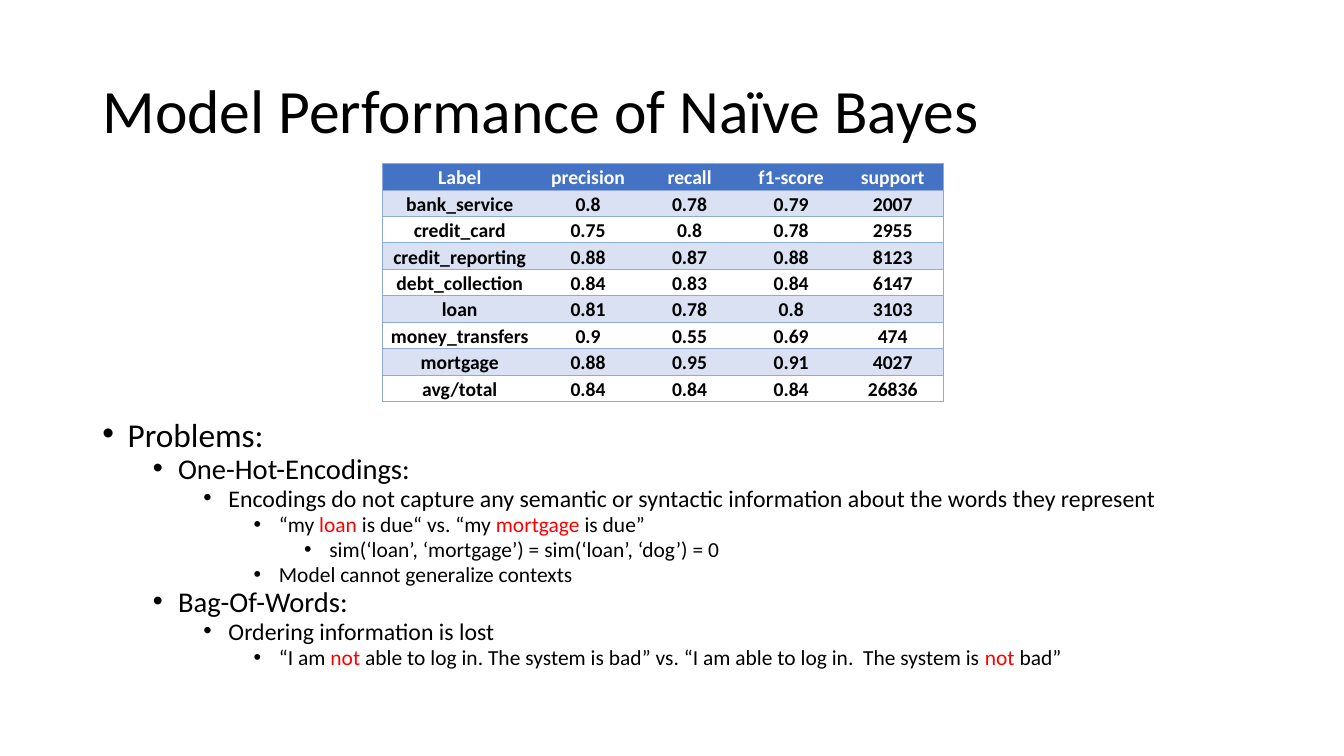
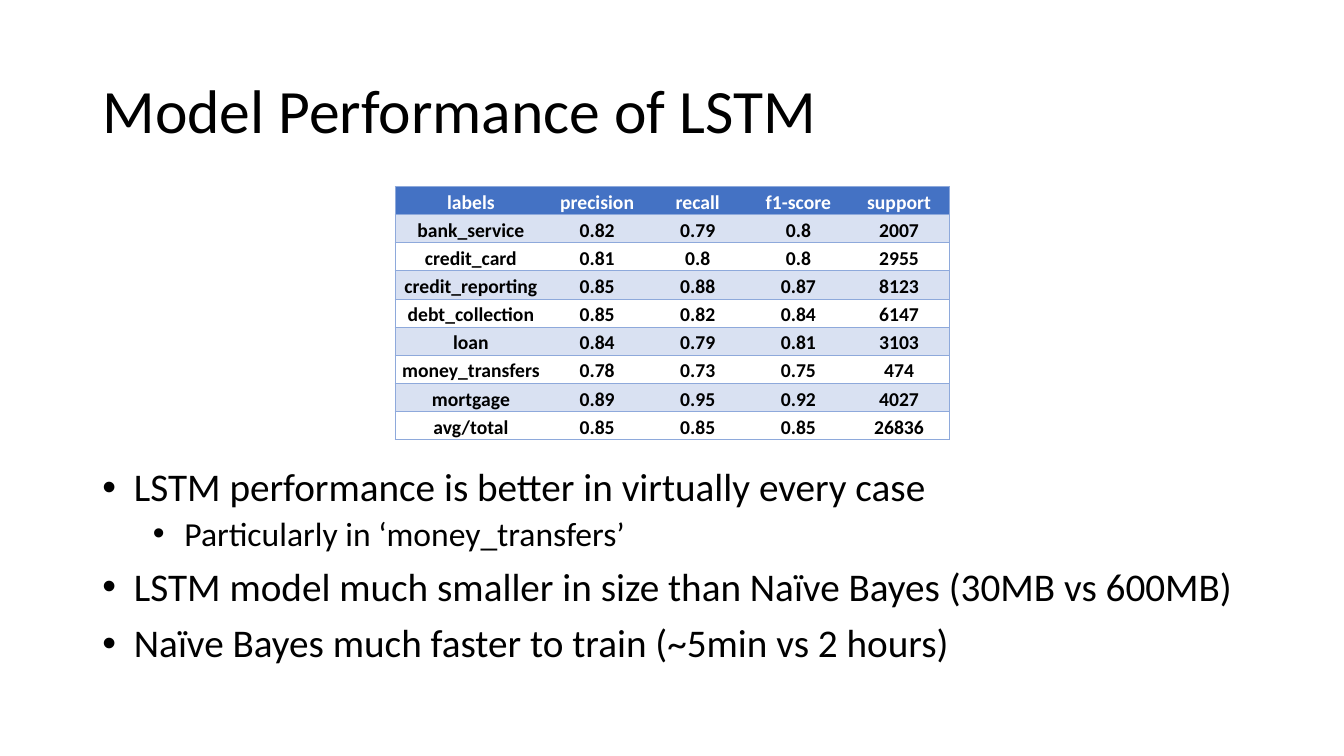
from lxml.etree import SubElement
from pptx import Presentation
from pptx.dml.color import RGBColor
from pptx.enum.text import MSO_ANCHOR, MSO_AUTO_SIZE, PP_ALIGN
from pptx.oxml.ns import qn
from pptx.util import Pt

FONT = "Calibri"
HUES = {"text": "000000", "mark": "FF0000", "head": "4472C4",
        "band": "D9E1F2", "rule": "8EA9DB", "white": "FFFFFF"}
LEFT, WIDE = 66, 828
LABELS = ["bank_service", "credit_card", "credit_reporting", "debt_collection",
          "loan", "money_transfers", "mortgage", "avg/total"]
COUNTS = ["2007", "2955", "8123", "6147", "3103", "474", "4027", "26836"]
BAYES = ["0.8 0.78 0.79", "0.75 0.8 0.78", "0.88 0.87 0.88", "0.84 0.83 0.84",
         "0.81 0.78 0.8", "0.9 0.55 0.69", "0.88 0.95 0.91", "0.84 0.84 0.84"]
LSTM = ["0.82 0.79 0.8", "0.81 0.8 0.8", "0.85 0.88 0.87", "0.85 0.82 0.84",
        "0.84 0.79 0.81", "0.78 0.73 0.75", "0.89 0.95 0.92", "0.85 0.85 0.85"]
FLAWS = [
    (0, "Problems:"),
    (1, "One-Hot-Encodings:"),
    (2, "Encodings do not capture any semantic or syntactic information "
        "about the words they represent"),
    (3, "“my *loan* is due“ vs. “my *mortgage* is due”"),
    (4, "sim(‘loan’, ‘mortgage’) = sim(‘loan’, ‘dog’) = 0"),
    (3, "Model cannot generalize contexts"),
    (1, "Bag-Of-Words:"),
    (2, "Ordering information is lost"),
    (3, "“I am *not* able to log in. The system is bad” vs. "
        "“I am able to log in.  The system is *not* bad”"),
]
GAINS = [
    (0, "LSTM performance is better in virtually every case"),
    (1, "Particularly in ‘money_transfers’"),
    (0, "LSTM model much smaller in size than Naïve Bayes (30MB vs 600MB)"),
    (0, "Naïve Bayes much faster to train (~5min vs 2 hours)"),
]


class Deck:
    """Holds the shared style and the current slide."""

    def __init__(self):
        self.file = Presentation()
        self.file.slide_width, self.file.slide_height = Pt(960), Pt(540)

    def place(self, shape, left, top, width, height):
        shape.left, shape.top = Pt(left), Pt(top)
        shape.width, shape.height = Pt(width), Pt(height)
        frame = shape.text_frame
        frame.word_wrap = True
        frame.auto_size = MSO_AUTO_SIZE.NONE
        return frame

    def style(self, run, size, hue="text", bold=False):
        font = run.font
        font.name, font.size, font.bold = FONT, Pt(size), bold
        font.color.rgb = RGBColor.from_string(HUES[hue])

    def start(self, title):
        self.slide = self.file.slides.add_slide(self.file.slide_layouts[1])
        frame = self.place(self.slide.shapes.title, LEFT, 28.8, WIDE, 104.4)
        frame.text = title
        frame.vertical_anchor = MSO_ANCHOR.MIDDLE
        para = frame.paragraphs[0]
        para.alignment, para.line_spacing = PP_ALIGN.LEFT, 0.9
        self.style(para.runs[0], 44)

    def list(self, items, top, height, sizes, width=WIDE, hang=18, pitch=0.9):
        frame = self.place(self.slide.placeholders[1], LEFT, top, width, height)
        frame.vertical_anchor = MSO_ANCHOR.TOP
        for spot, (level, text) in enumerate(items):
            para = frame.add_paragraph() if spot else frame.paragraphs[0]
            para.level, para.line_spacing = level, pitch
            para.space_before = Pt(5 if level else 10)
            self.bullet(para, level * 36 + hang, hang)
            for turn, part in enumerate(text.split("*")):
                run = para.add_run()
                run.text = part
                self.style(run, sizes[level], "mark" if turn % 2 else "text")

    def bullet(self, para, margin, hang):
        props = para._p.get_or_add_pPr()
        props.set("marL", str(Pt(margin)))
        props.set("indent", str(-Pt(hang)))
        SubElement(props, qn("a:buFont")).set("typeface", "Arial")
        SubElement(props, qn("a:buChar")).set("char", "•")

    def table(self, key, scores, left, top, width, height, first):
        rows = [[key, "precision", "recall", "f1-score", "support"]]
        rows += [[name, *marks.split(), count]
                 for name, marks, count in zip(LABELS, scores, COUNTS)]
        last = len(rows[0]) - 1
        grid = self.slide.shapes.add_table(
            len(rows), last + 1, Pt(left), Pt(top), Pt(width), Pt(height)).table
        grid.first_row = grid.horz_banding = False
        grid._tbl.tblPr.find(qn("a:tableStyleId")).text = (
            "{2D5ABB26-0587-4C30-8999-92F81FD0307C}")
        for spot, column in enumerate(grid.columns):
            column.width = Pt((width - first) / last if spot else first)
        for y, row in enumerate(rows):
            grid.rows[y].height = Pt(height / len(rows))
            fill = "band" if y % 2 else None
            for x, text in enumerate(row):
                sides = ("L" if x == 0 else "") + ("R" if x == last else "") + "TB"
                self.cell(grid.cell(y, x), text, sides,
                          fill if y else "head", "text" if y else "white")

    def cell(self, cell, text, sides, fill, hue):
        cell.text = text
        cell.vertical_anchor = MSO_ANCHOR.BOTTOM
        cell.margin_left = cell.margin_right = cell.margin_top = Pt(0.7)
        cell.margin_bottom = 0
        para = cell.text_frame.paragraphs[0]
        para.alignment = PP_ALIGN.CENTER
        self.style(para.runs[0], 14, hue, True)
        props = cell._tc.get_or_add_tcPr()
        for side in sides:
            line = SubElement(props, qn("a:ln" + side), w=str(Pt(0.5)))
            solid = SubElement(line, qn("a:solidFill"))
            SubElement(solid, qn("a:srgbClr")).set("val", HUES["rule"])
        if fill:
            cell.fill.solid()
            cell.fill.fore_color.rgb = RGBColor.from_string(HUES[fill])
        else:
            cell.fill.background()


def main():
    deck = Deck()
    deck.start("Model Performance of Naïve Bayes")
    deck.list(FLAWS, 300.3, 186.4, [23.8, 20.4, 17, 15.3, 15.3],
              width=862, pitch=0.7)
    deck.table("Label", BAYES, 273, 116.8, 401, 170, 110.8)
    deck.start("Model Performance of LSTM")
    deck.list(GAINS, 330.5, 156.2, [28, 24], hang=22.5)
    deck.table("labels", LSTM, 282.2, 133.2, 396, 180.7, 108.4)
    deck.file.save("out.pptx")


if __name__ == "__main__":
    main()
